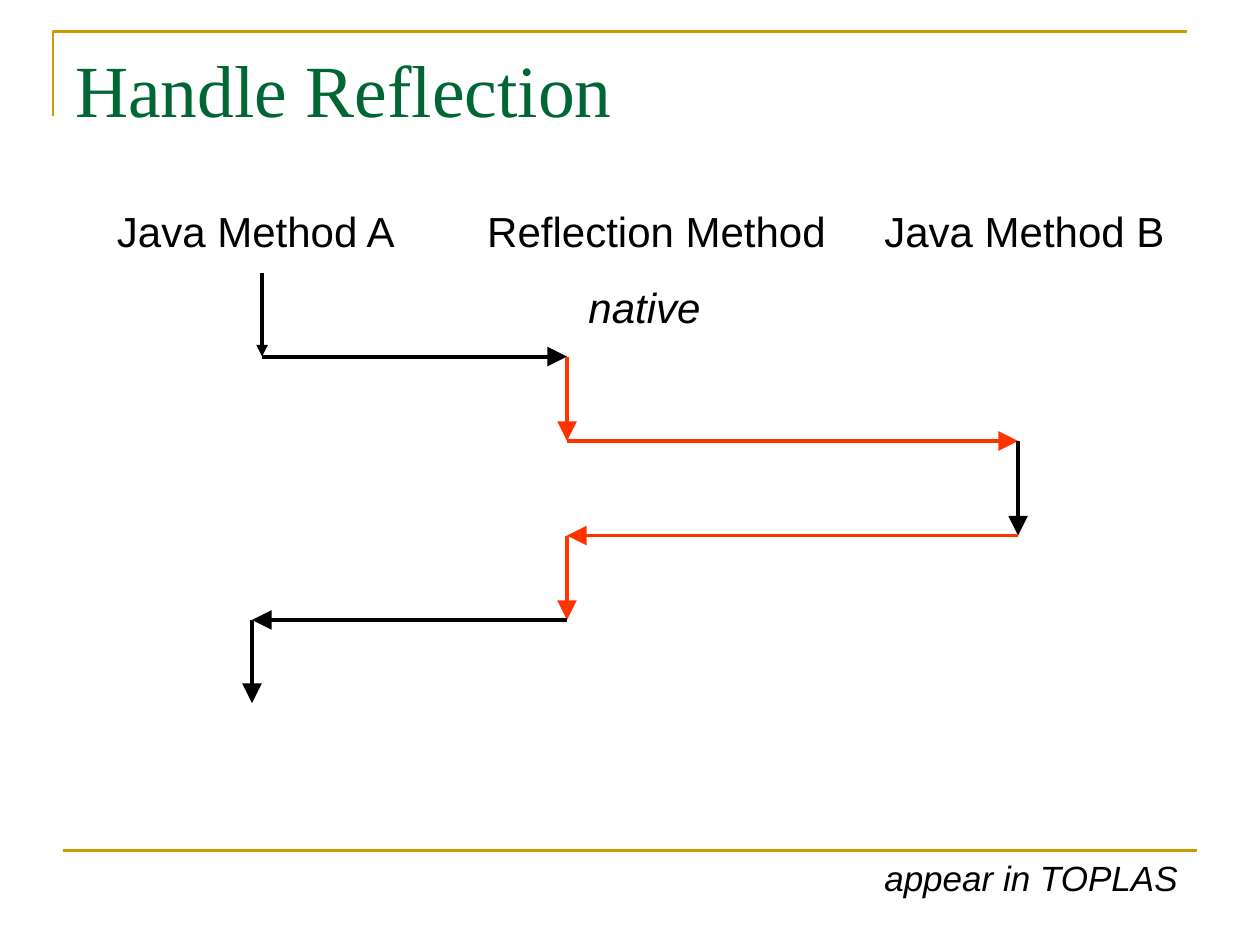
import pptx
import pptx.dml.color
import pptx.enum.shapes
import pptx.enum.text
import pptx.oxml
import pptx.oxml.ns
import pptx.util

Inches = pptx.util.Inches
Pt = pptx.util.Pt
RGBColor = pptx.dml.color.RGBColor
PP_ALIGN = pptx.enum.text.PP_ALIGN

BLACK = RGBColor(0x00, 0x00, 0x00)
RED = RGBColor(0xFF, 0x33, 0x00)
GOLD = RGBColor(0xCC, 0x99, 0x00)
GREEN = RGBColor(0x00, 0x66, 0x33)

TITLE = {"name": "Times New Roman", "size": Pt(42)}
LABEL = {"name": "Arial", "size": Pt(24)}
NATIVE = {**LABEL, "italic": True}
NOTE = {"name": "Arial", "size": Pt(20), "italic": True}


class SlideBuilder:
    """Draws styled text, rules and arrows on the current slide."""

    def __init__(self, prs):
        self.slide = prs.slides.add_slide(prs.slide_layouts[6])

    def text(self, box, lines, color=BLACK, align=PP_ALIGN.LEFT):
        sp = self.slide.shapes.add_textbox(*map(Inches, box))
        tf = sp.text_frame
        tf.word_wrap = True
        for i, (words, style) in enumerate(lines):
            p = tf.paragraphs[0] if i == 0 else tf.add_paragraph()
            p.alignment = align
            if i:
                p.space_before = Pt(15)
            r = p.add_run()
            r.text = words
            for key, value in style.items():
                setattr(r.font, key, value)
            r.font.color.rgb = color
        return tf

    def line(self, start, end, color, width):
        cxn = self.slide.shapes.add_connector(
            pptx.enum.shapes.MSO_CONNECTOR.STRAIGHT, *map(Inches, start + end))
        cxn.line.color.rgb = color
        cxn.line.width = Pt(width)
        cxn._element.spPr.append(pptx.oxml.parse_xml(
            f'<a:effectLst {pptx.oxml.ns.nsdecls("a")}/>'))
        return cxn

    def arrow(self, start, end, color, size="lg"):
        cxn = self.line(start, end, color, 2.25)
        cxn.line._get_or_add_ln().append(pptx.oxml.parse_xml(
            f'<a:tailEnd {pptx.oxml.ns.nsdecls("a")} type="triangle" w="{size}" len="{size}"/>'))

    def corner(self, points, color, width):
        first, *rest = [tuple(map(Inches, pt)) for pt in points]
        fb = self.slide.shapes.build_freeform(*first)
        fb.add_line_segments(rest, close=False)
        sp = fb.convert_to_shape()
        sp.shadow.inherit = False
        sp.fill.background()
        sp.line.color.rgb = color
        sp.line.width = Pt(width)


def main():
    prs = pptx.Presentation()
    prs.slide_width, prs.slide_height = Inches(10), Inches(7.5)
    s = SlideBuilder(prs)

    s.corner([(0.42, 0.92), (0.42, 0.25), (9.42, 0.25)], GOLD, 1.5)
    s.line((0.5, 6.75), (9.5, 6.75), GOLD, 1.5)
    s.text((0.5, 0.3, 9, 1.25), [("Handle Reflection", TITLE)], GREEN)
    s.text((6.92, 6.75, 2.67, 0.44), [("appear in TOPLAS", NOTE)])
    s.text((0.83, 1.58, 2.67, 0.5), [("Java Method A", LABEL)])
    tf = s.text((3.75, 1.58, 2.92, 1.11),
                [("Reflection Method", LABEL), ("native", NATIVE)],
                align=PP_ALIGN.CENTER)
    tf.paragraphs[1]._p.get_or_add_pPr().set("marR", str(Inches(0.19)))
    s.text((6.92, 1.58, 2.5, 0.5), [("Java Method B", LABEL)])

    call_x, reflect_x, target_x, return_x = 2.08, 4.5, 8.08, 2
    s.arrow((call_x, 2.17), (call_x, 2.83), BLACK, "med")
    flow = [
        ((call_x, 2.83), BLACK),
        ((reflect_x, 2.83), RED),
        ((reflect_x, 3.5), RED),
        ((target_x, 3.5), BLACK),
        ((target_x, 4.25), RED),
        ((reflect_x, 4.25), RED),
        ((reflect_x, 4.92), BLACK),
        ((return_x, 4.92), BLACK),
        ((return_x, 5.58), BLACK),
    ]
    for (start, color), (end, _) in zip(flow, flow[1:]):
        s.arrow(start, end, color)

    prs.save("out.pptx")


if __name__ == "__main__":
    main()
